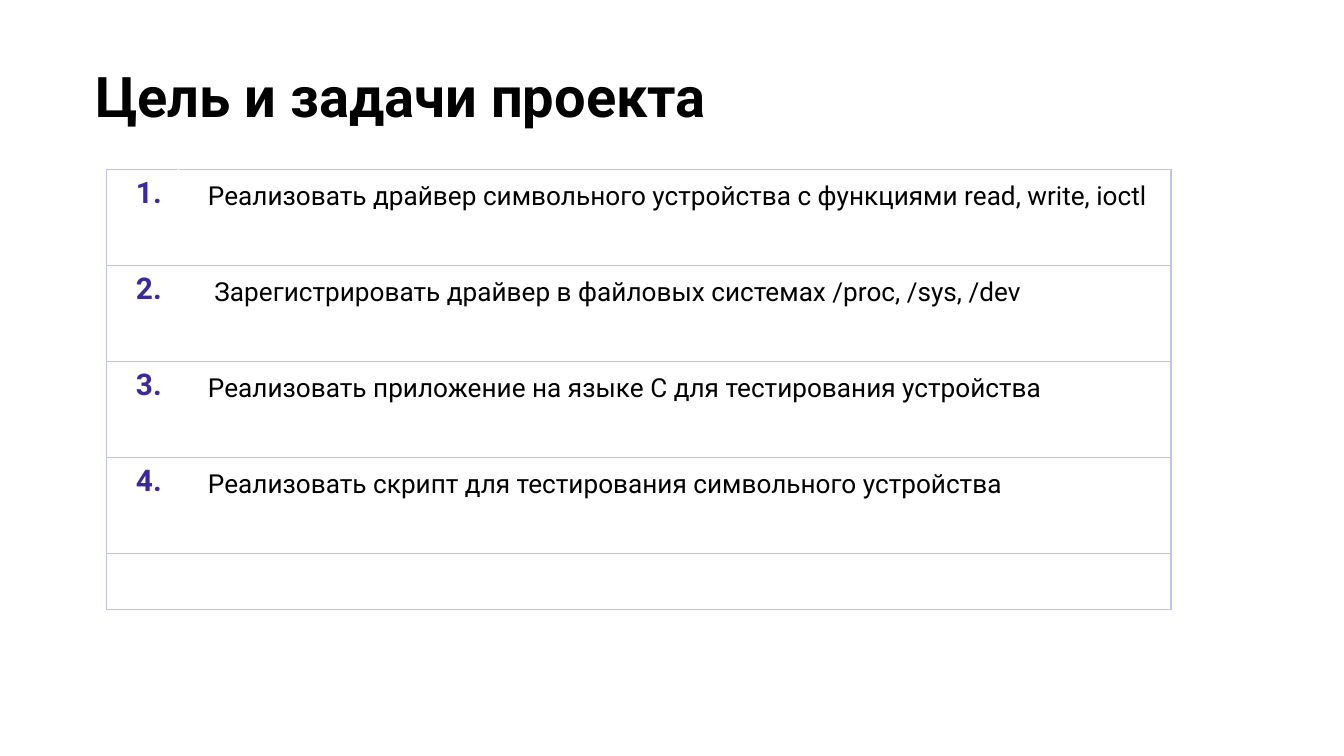
from lxml.etree import SubElement
from pptx import Presentation
from pptx.dml.color import RGBColor
from pptx.enum.text import MSO_ANCHOR as Anchor, PP_ALIGN as Align
from pptx.oxml import parse_xml
from pptx.oxml.ns import nsdecls, qn
from pptx.util import Cm, Pt

BLACK = RGBColor(0x00, 0x00, 0x00)
WHITE = RGBColor(0xFF, 0xFF, 0xFF)
INDIGO = RGBColor(0x3F, 0x29, 0x9A)
LILAC = RGBColor(0xBF, 0xC1, 0xF0)

FONT = "Roboto"
TASKS = [
    "Реализовать драйвер символьного устройства с функциями read, write, ioctl",
    " Зарегистрировать драйвер в файловых системах /proc, /sys, /dev",
    "Реализовать приложение на языке С для тестирования устройства",
    "Реализовать скрипт для тестирования символьного устройства",
]


def write_text(frame, text, size, color=BLACK, bold=False, spacing=1.0):
    """Put one formatted paragraph into a text frame."""
    para = frame.paragraphs[0]
    para.alignment = Align.LEFT
    para.line_spacing = spacing
    span = para.add_run()
    span.text = text
    span.font.name = FONT
    span.font.size = Pt(size)
    span.font.bold = bold
    span.font.color.rgb = color


def set_borders(cell, **colors):
    """Draw the cell's borders, given a colour for each of L, R, T and B."""
    properties = cell._tc.get_or_add_tcPr()
    for position, side in enumerate("LRTB"):
        line = parse_xml(f'<a:ln{side} {nsdecls("a")} w="{Pt(0.75)}"/>')
        fill = SubElement(line, qn("a:solidFill"))
        SubElement(fill, qn("a:srgbClr"), val=str(colors[side]))
        properties.insert(position, line)


def add_title(page, left, top, width, height):
    """Place the slide title in the given box."""
    box = page.shapes.add_textbox(left, top, width, height)
    frame = box.text_frame
    frame.word_wrap = True
    frame.vertical_anchor = Anchor.TOP
    frame.margin_left = frame.margin_right = Cm(0.25)
    frame.margin_top = frame.margin_bottom = Cm(0.25)
    write_text(frame, "Цель и задачи проекта", 30, bold=True)


def add_task_table(page, left, top, width, height):
    """Place the numbered tasks and a short empty closing row in the given box."""
    count = len(TASKS)
    number_width, last_height = Cm(1.36), Cm(1.06)
    table = page.shapes.add_table(count + 1, 2, left, top, width, height).table
    table.first_row = table.horz_banding = False
    table.columns[0].width = number_width
    table.columns[1].width = width - number_width
    for row in table.rows:
        row.height = (height - last_height) // count
    table.rows[count].height = last_height

    for cell in table.iter_cells():
        cell.fill.background()
        cell.margin_left, cell.margin_right = Cm(0.56), Cm(0.25)
        cell.margin_top = cell.margin_bottom = Cm(0.13)
    for row in table.rows:
        number, task = row.cells
        set_borders(number, L=LILAC, R=WHITE, T=LILAC, B=LILAC)
        set_borders(task, L=WHITE, R=LILAC, T=LILAC, B=LILAC)
    for index, text in enumerate(TASKS):
        number, task = table.rows[index].cells
        write_text(number.text_frame, f"{index + 1}.", 16, INDIGO, bold=True)
        write_text(task.text_frame, text, 14, spacing=1.15)


def main():
    """Build the slide and save the deck."""
    deck = Presentation()
    deck.slide_width, deck.slide_height = Cm(25.4), Cm(14.29)
    page = deck.slides.add_slide(deck.slide_layouts[6])
    page.background.fill.solid()
    page.background.fill.fore_color.rgb = WHITE
    add_title(page, Cm(1.55), Cm(0.92), Cm(23.67), Cm(3.63))
    add_task_table(page, Cm(2.01), Cm(3.2), Cm(20.12), Cm(8.32))
    deck.save("out.pptx")


if __name__ == "__main__":
    main()
